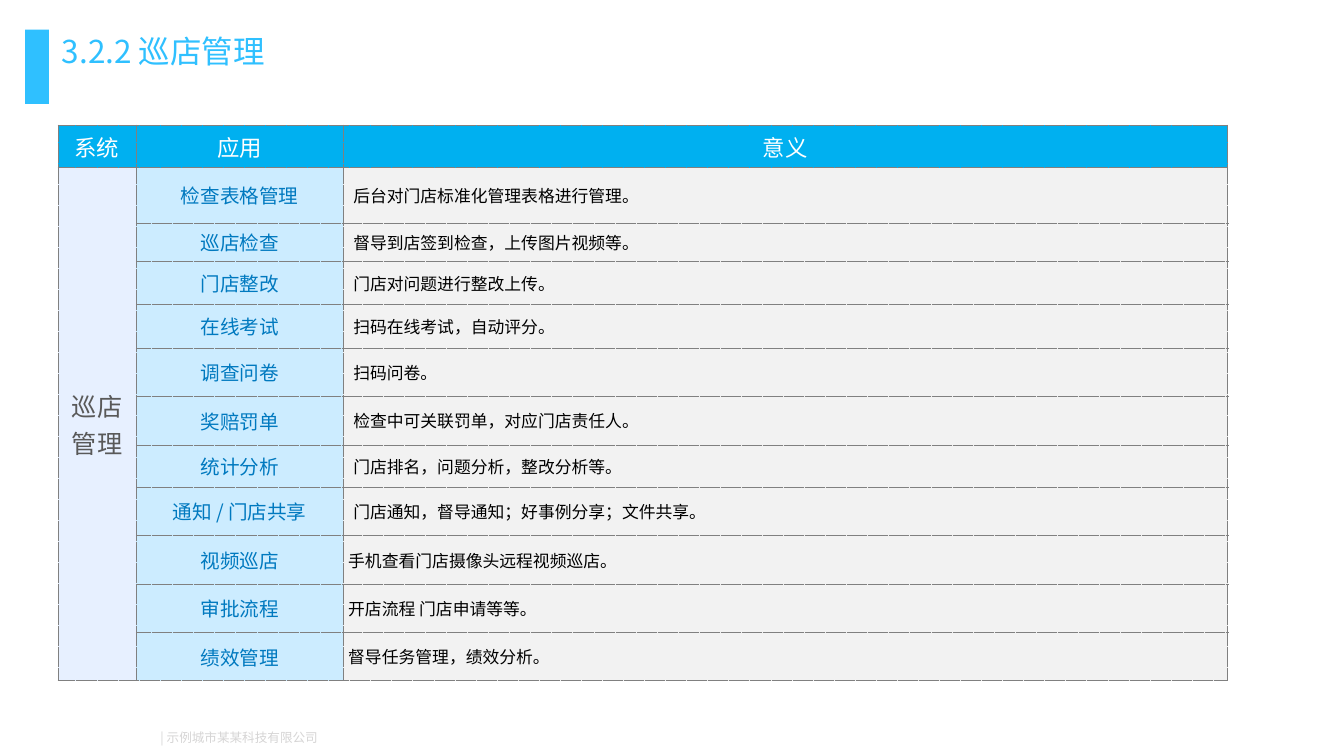
from dataclasses import dataclass

from lxml.etree import SubElement
from pptx import Presentation
from pptx.dml.color import RGBColor
from pptx.enum.shapes import MSO_SHAPE
from pptx.enum.text import MSO_ANCHOR, MSO_AUTO_SIZE, PP_ALIGN
from pptx.oxml import parse_xml
from pptx.oxml.ns import nsdecls, qn
from pptx.util import Inches, Pt

FONT = "Noto Sans CJK SC"
ACCENT = RGBColor(0x2F, 0xC0, 0xFF)
FOOTER_GRAY = RGBColor(0xD6, 0xD5, 0xD5)
WHITE = RGBColor(0xFF, 0xFF, 0xFF)
BLACK = RGBColor(0, 0, 0)
HEADER_FILL = RGBColor(0x00, 0xB0, 0xF0)
SYSTEM_FILL = RGBColor(0xE7, 0xF0, 0xFF)
SYSTEM_TEXT = RGBColor(0x59, 0x59, 0x59)
APP_FILL = RGBColor(0xCC, 0xEC, 0xFF)
APP_TEXT = RGBColor(0x00, 0x79, 0xBF)
MEANING_FILL = RGBColor(0xF2, 0xF2, 0xF2)
BORDER = RGBColor(0x80, 0x80, 0x80)


@dataclass(frozen=True)
class TextStyle:
    size: float
    color: RGBColor
    align: PP_ALIGN = PP_ALIGN.CENTER


@dataclass(frozen=True)
class CellStyle:
    text: TextStyle
    fill: RGBColor


@dataclass(frozen=True)
class AppRow:
    app: str
    meaning: str
    height: float
    margins: tuple[float, float] = (0.2, 0.1)


HEADER = CellStyle(TextStyle(32, WHITE), HEADER_FILL)
SYSTEM = CellStyle(TextStyle(36, SYSTEM_TEXT), SYSTEM_FILL)
APP = CellStyle(TextStyle(28, APP_TEXT), APP_FILL)
MEANING = CellStyle(TextStyle(24, BLACK, PP_ALIGN.JUSTIFY), MEANING_FILL)

WIDE = (0.2, 0.1)
NARROW = (0.1, 0.05)
TIGHT = (0.1, 0.03)
HEADINGS = ("系统", "应用", "意义")
COL_WIDTHS = (1.55, 4.11, 17.55)
HEADER_HEIGHT = 0.79
ROWS = (
    AppRow("检查表格管理", "后台对门店标准化管理表格进行管理。", 1.1),
    AppRow("巡店检查", "督导到店签到检查，上传图片视频等。", 0.75),
    AppRow("门店整改", "门店对问题进行整改上传。", 0.86),
    AppRow("在线考试", "扫码在线考试，自动评分。", 0.86),
    AppRow("调查问卷", "扫码问卷。", 0.96),
    AppRow("奖赔罚单", "检查中可关联罚单，对应门店责任人。", 0.96),
    AppRow("统计分析", "门店排名，问题分析，整改分析等。", 0.84),
    AppRow("通知 / 门店共享", "门店通知，督导通知；好事例分享；文件共享。", 0.96),
    AppRow("视频巡店", "手机查看门店摄像头远程视频巡店。", 0.96, NARROW),
    AppRow("审批流程", "开店流程 门店申请等等。", 0.96, NARROW),
    AppRow("绩效管理", "督导任务管理，绩效分析。", 0.96, NARROW),
)


def write(tf, text: str, style: TextStyle):
    p = tf.paragraphs[0]
    p.add_run().text = text
    p.alignment = style.align
    p.font.size = Pt(style.size)
    p.font.name = FONT
    p.font.color.rgb = style.color
    props = p._p.get_or_add_pPr().find(qn("a:defRPr"))
    SubElement(props, qn("a:ea")).set("typeface", FONT)
    return p


def set_box(shape, left: float, top: float, width: float, height: float) -> None:
    shape.left, shape.top = Inches(left), Inches(top)
    shape.width, shape.height = Inches(width), Inches(height)
    tf = shape.text_frame
    tf.word_wrap = True
    tf.auto_size = MSO_AUTO_SIZE.NONE
    tf.vertical_anchor = MSO_ANCHOR.MIDDLE
    tf.margin_left = tf.margin_right = Inches(0.08)
    tf.margin_top = tf.margin_bottom = Inches(0.08)


def add_borders(cell) -> None:
    tc_pr = cell._tc.get_or_add_tcPr()
    for i, side in enumerate("LRTB"):
        tc_pr.insert(i, parse_xml(
            f'<a:ln{side} {nsdecls("a")} w="{Pt(1)}"><a:solidFill>'
            f'<a:srgbClr val="{BORDER}"/></a:solidFill>'
            f'<a:prstDash val="dot"/></a:ln{side}>'))


def fill_cell(cell, text: str, style: CellStyle, margins: tuple[float, float]) -> None:
    side, edge = margins
    cell.margin_left = cell.margin_right = Inches(side)
    cell.margin_top = cell.margin_bottom = Inches(edge)
    cell.vertical_anchor = MSO_ANCHOR.MIDDLE
    cell.fill.solid()
    cell.fill.fore_color.rgb = style.fill
    write(cell.text_frame, text, style.text)


def add_app_table(s) -> None:
    heights = (HEADER_HEIGHT, *(row.height for row in ROWS))
    table = s.shapes.add_table(
        len(heights), len(COL_WIDTHS), Inches(1.15), Inches(2.48),
        Inches(sum(COL_WIDTHS)), Inches(sum(heights))).table
    table.first_row = False
    table.horz_banding = False
    for col, width in zip(table.columns, COL_WIDTHS):
        col.width = Inches(width)
    for row, height in zip(table.rows, heights):
        row.height = Inches(height)
    for c, heading in enumerate(HEADINGS):
        fill_cell(table.cell(0, c), heading, HEADER, WIDE)
    for r, row in enumerate(ROWS, start=1):
        fill_cell(table.cell(r, 1), row.app, APP, row.margins)
        fill_cell(table.cell(r, 2), row.meaning, MEANING, row.margins)
    system = table.cell(1, 0)
    system.merge(table.cell(len(ROWS), 0))
    fill_cell(system, "巡店管理", SYSTEM, TIGHT)
    system._tc.get_or_add_tcPr().set("vert", "eaVert")
    for cell in table.iter_cells():
        add_borders(cell)


def main() -> None:
    prs = Presentation()
    prs.slide_width, prs.slide_height = Inches(26.67), Inches(15)
    s = prs.slides.add_slide(prs.slide_layouts[5])

    bar = s.shapes.add_shape(
        MSO_SHAPE.RECTANGLE, Inches(0.5), Inches(0.59), Inches(0.47), Inches(1.47))
    bar.shadow.inherit = False
    bar.fill.solid()
    bar.fill.fore_color.rgb = ACCENT
    bar.line.fill.background()

    footer = s.shapes.add_textbox(0, 0, 0, 0)
    set_box(footer, 3.1, 14.42, 3.29, 0.41)
    p = write(footer.text_frame, "| 示例城市某某科技有限公司", TextStyle(18, FOOTER_GRAY))
    p.line_spacing = Pt(21.5)

    title = s.shapes.title
    set_box(title, 1.15, 0.59, 24.23, 0.83)
    write(title.text_frame, "3.2.2 巡店管理", TextStyle(45, ACCENT, PP_ALIGN.LEFT))

    add_app_table(s)
    prs.save("out.pptx")


if __name__ == "__main__":
    main()
